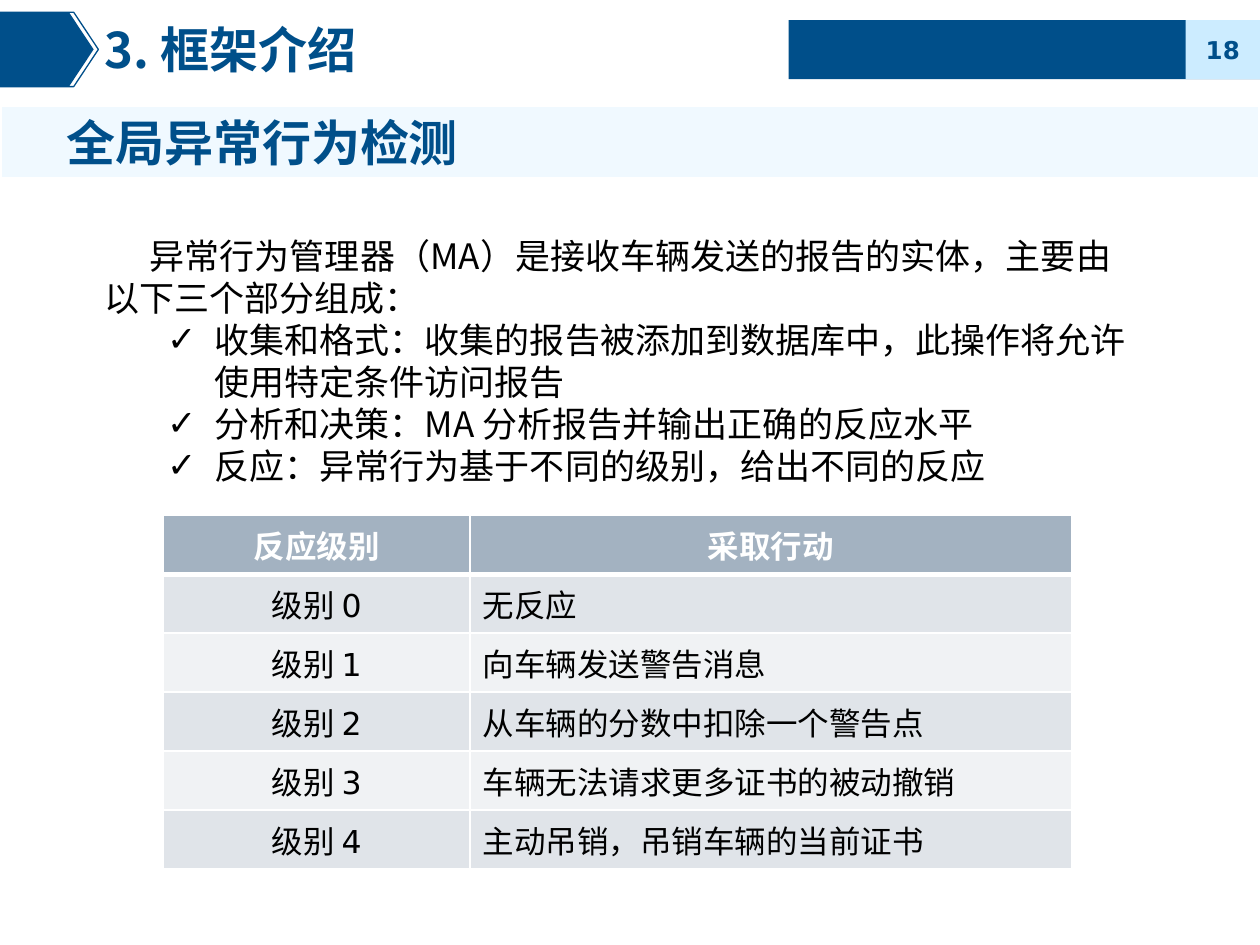
from lxml.etree import SubElement
from pptx import Presentation
from pptx.dml.color import RGBColor
from pptx.enum.shapes import MSO_SHAPE
from pptx.enum.text import MSO_ANCHOR, MSO_AUTO_SIZE, PP_ALIGN
from pptx.oxml import parse_xml
from pptx.oxml.ns import nsdecls, qn
from pptx.util import Pt

NAVY = RGBColor(0x00, 0x4F, 0x8A)
SKY = RGBColor(0xCC, 0xEC, 0xFF)
WHITE = RGBColor(0xFF, 0xFF, 0xFF)
BLACK = RGBColor(0x00, 0x00, 0x00)
HEADER = RGBColor(0xA3, 0xB2, 0xC1)
STRIPES = (RGBColor(0xE0, 0xE4, 0xE9), RGBColor(0xF0, 0xF2, 0xF4))
CHINESE_FONT = "Noto Sans CJK SC"
LATIN_FONT = "DejaVu Sans"


def write_text(paragraph, text, size=20, color=BLACK, bold=False,
               font=CHINESE_FONT, align=PP_ALIGN.LEFT, line_spacing=None):
    paragraph.alignment = align
    if line_spacing:
        paragraph.line_spacing = Pt(line_spacing)
    run = paragraph.add_run()
    run.text = text
    run.font.size = Pt(size)
    run.font.bold = bold
    run.font.color.rgb = color
    run.font.name = font
    SubElement(run.font._element, qn("a:ea"), typeface=CHINESE_FONT)


def indent(paragraph, left, first, bullet=None):
    properties = paragraph._p.get_or_add_pPr()
    properties.set("marL", str(Pt(left)))
    properties.set("indent", str(Pt(first)))
    if bullet:
        SubElement(properties, qn("a:buFont"), typeface=LATIN_FONT)
        SubElement(properties, qn("a:buChar"), char=bullet)


def set_borders(cell, **widths):
    properties = cell._tc.get_or_add_tcPr()
    for position, (side, width) in enumerate(widths.items()):
        properties.insert(position, parse_xml(
            f'<a:ln{side} {nsdecls("a")} w="{Pt(width)}"><a:solidFill>'
            f'<a:srgbClr val="{WHITE}"/></a:solidFill></a:ln{side}>'))


class SlideBuilder:
    def __init__(self, presentation):
        self.slide = presentation.slides.add_slide(presentation.slide_layouts[5])

    def title(self, text, left, top, width, height):
        shape = self.slide.shapes.title
        shape.left, shape.top = Pt(left), Pt(top)
        shape.width, shape.height = Pt(width), Pt(height)
        frame = shape.text_frame
        frame.auto_size = MSO_AUTO_SIZE.NONE
        frame.vertical_anchor = MSO_ANCHOR.MIDDLE
        write_text(frame.paragraphs[0], text, size=28, color=NAVY, bold=True)

    def shape(self, kind, left, top, width, height, fill=None, alpha=None,
              line=None, line_width=0.75, point=None):
        shape = self.slide.shapes.add_shape(
            kind, Pt(left), Pt(top), Pt(width), Pt(height))
        shape.shadow.inherit = False
        if point:
            shape.adjustments[0] = point
        if fill is None:
            shape.fill.background()
        else:
            shape.fill.solid()
            shape.fill.fore_color.rgb = fill
        if alpha:
            color = shape._element.spPr.find(qn("a:solidFill"))[0]
            SubElement(color, qn("a:alpha"), val=str(alpha * 1000))
        if line is None:
            shape.line.fill.background()
        else:
            shape.line.color.rgb = line
            shape.line.width = Pt(line_width)
        return shape

    def label(self, shape, text, inset=0, **text_format):
        frame = shape.text_frame
        frame.vertical_anchor = MSO_ANCHOR.MIDDLE
        frame.margin_left = Pt(inset)
        frame.margin_right = frame.margin_top = frame.margin_bottom = 0
        write_text(frame.paragraphs[0], text, color=NAVY, bold=True, **text_format)

    def body(self, intro, bullets, left, top, width, height):
        frame = self.slide.shapes.add_textbox(
            Pt(left), Pt(top), Pt(width), Pt(height)).text_frame
        frame.word_wrap = True
        write_text(frame.paragraphs[0], intro, line_spacing=24)
        indent(frame.paragraphs[0], 0, 26)
        for text in bullets:
            paragraph = frame.add_paragraph()
            paragraph.level = 1
            write_text(paragraph, text, line_spacing=24)
            indent(paragraph, 63, -27, bullet="✓")

    def table(self, rows, left, top, column_widths, row_height):
        table = self.slide.shapes.add_table(
            len(rows), len(column_widths), Pt(left), Pt(top),
            Pt(sum(column_widths)), Pt(row_height * len(rows))).table
        for column, width in zip(table.columns, column_widths):
            column.width = Pt(width)
        for row_index, row in enumerate(rows):
            table.rows[row_index].height = Pt(row_height)
            is_header = row_index == 0
            for column_index, text in enumerate(row):
                cell = table.cell(row_index, column_index)
                cell.vertical_anchor = MSO_ANCHOR.MIDDLE
                cell.fill.solid()
                cell.fill.fore_color.rgb = (
                    HEADER if is_header else STRIPES[(row_index - 1) % 2])
                set_borders(cell, L=1, R=1, T=3 if row_index == 1 else 1,
                            B=3 if is_header else 1)
                centred = is_header or column_index == 0
                write_text(cell.text_frame.paragraphs[0], text, size=18,
                           color=WHITE if is_header else BLACK,
                           bold=is_header, font=LATIN_FONT,
                           align=PP_ALIGN.CENTER if centred else PP_ALIGN.LEFT)


def main():
    presentation = Presentation()
    presentation.slide_width, presentation.slide_height = Pt(720), Pt(540)
    builder = SlideBuilder(presentation)

    # Header bar, arrow and page number
    builder.shape(MSO_SHAPE.RECTANGLE, 450.7, 11.5, 269.3, 33.8, fill=NAVY)
    builder.shape(MSO_SHAPE.PENTAGON, 0, 7, 53.5, 42.5, fill=NAVY, point=0.331)
    builder.shape(MSO_SHAPE.PENTAGON, 0, 7, 56.2, 42.5, line=NAVY, point=0.331)
    page_box = builder.shape(MSO_SHAPE.RECTANGLE, 677.5, 11.5, 42.5, 33.8, fill=SKY)
    builder.label(page_box, "18", size=14, font=LATIN_FONT, align=PP_ALIGN.CENTER)
    builder.title("3. 框架介绍", 52.5, 7.2, 370, 41)

    # Section band
    band = builder.shape(MSO_SHAPE.RECTANGLE, 0, 60, 720, 42, fill=SKY, alpha=29,
                         line=WHITE, line_width=2)
    builder.label(band, "全局异常行为检测", inset=38, size=28)

    # Explanation
    builder.body(
        "异常行为管理器（MA）是接收车辆发送的报告的实体，主要由以下三个部分组成：",
        ["收集和格式：收集的报告被添加到数据库中，此操作将允许使用特定条件访问报告",
         "分析和决策：MA 分析报告并输出正确的反应水平",
         "反应：异常行为基于不同的级别，给出不同的反应"],
        52.5, 130.3, 601, 152.6)

    # Reaction levels
    actions = ["无反应", "向车辆发送警告消息", "从车辆的分数中扣除一个警告点",
               "车辆无法请求更多证书的被动撤销", "主动吊销，吊销车辆的当前证书"]
    levels = [(f"级别 {level}", action) for level, action in enumerate(actions)]
    builder.table([("反应级别", "采取行动")] + levels,
                  93.2, 294.5, (175.4, 343.8), 33.7)

    presentation.save("out.pptx")


if __name__ == "__main__":
    main()
